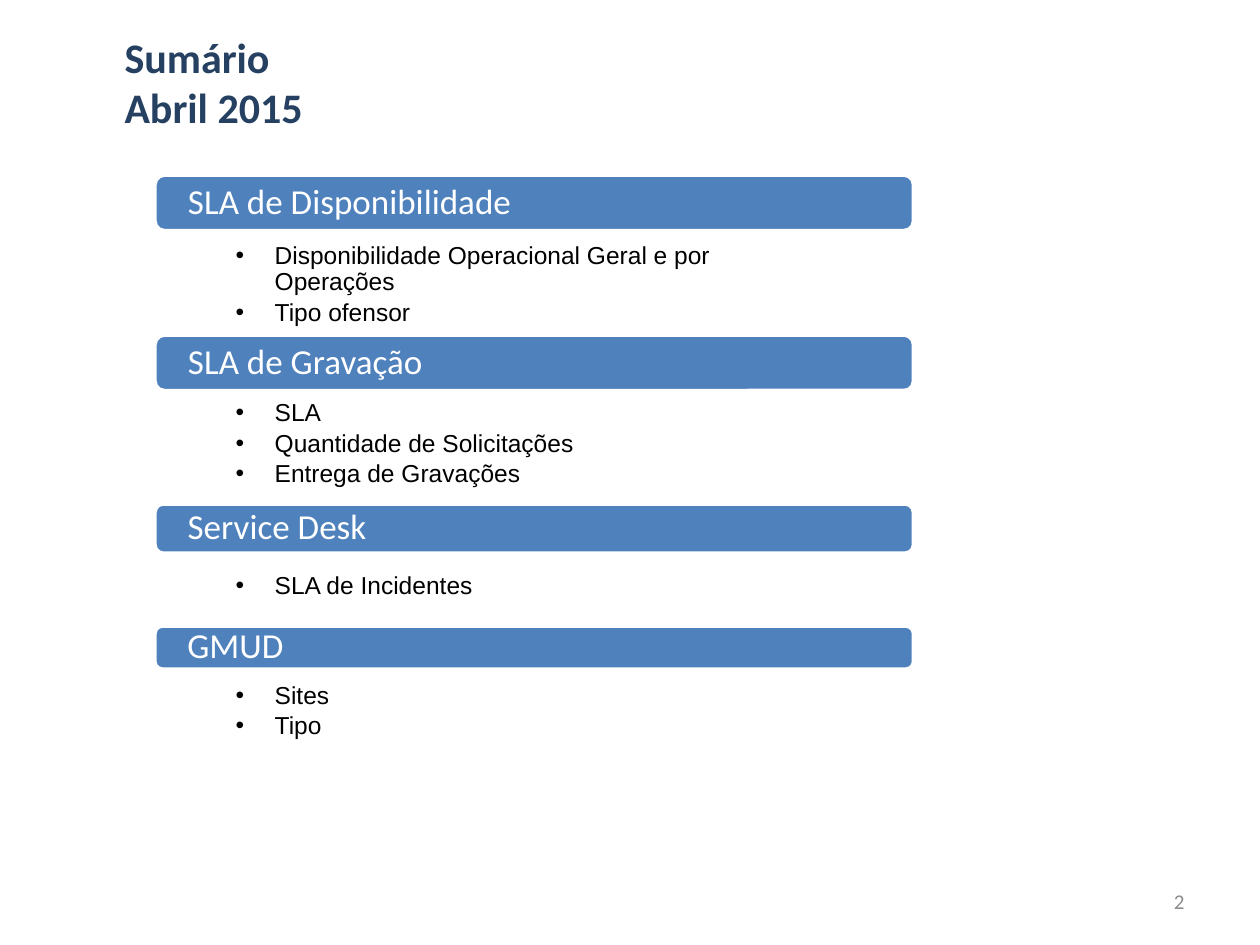
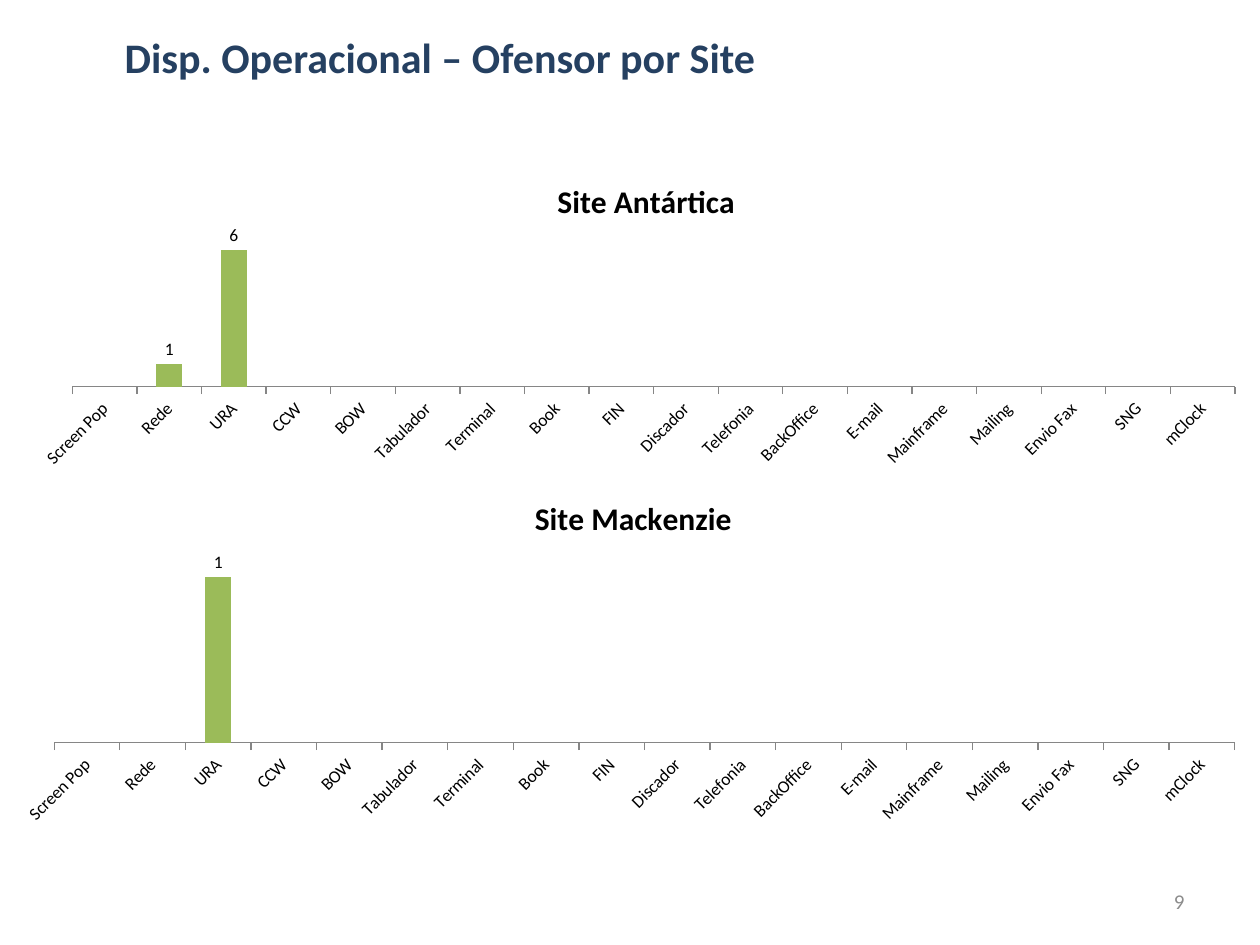
from lxml.etree import SubElement, Element
from pptx import Presentation
from pptx.chart.data import CategoryChartData
from pptx.dml.color import RGBColor
from pptx.enum.chart import XL_CHART_TYPE, XL_LABEL_POSITION, XL_TICK_LABEL_POSITION, XL_TICK_MARK
from pptx.enum.shapes import MSO_SHAPE
from pptx.enum.text import MSO_ANCHOR, PP_ALIGN
from pptx.oxml.ns import qn
from pptx.util import Inches, Pt

COLOURS = {"title": "254061", "banner": "4F81BD", "white": "FFFFFF", "text": "000000",
           "number": "8C8C8C", "column": "9BBB59", "axis": "868686"}
HEADING_FONT, BODY_FONT = "Calibri", "Arial"
GRID_COLUMNS, GRID_ROWS = 100, 75

SECTION_LEFT, SECTION_COLUMNS = 12.3, 60.2
BODY_OFFSET, BODY_ROWS = 6.6, 6.5
# top of the section, banner top and banner height in rows, heading, items
SECTIONS = [
    (12.7, 13.9, 4.4, "SLA de Disponibilidade",
     ["Disponibilidade Operacional Geral e por Operações", "Tipo ofensor"]),
    (25.2, 26.6, 4.4, "SLA de Gravação",
     ["SLA", "Quantidade de Solicitações", "Entrega de Gravações"]),
    (38.9, 40.0, 3.9, "Service Desk", ["SLA de Incidentes"]),
    (47.6, 49.7, 3.4, "GMUD", ["Sites", "Tipo"]),
]

SYSTEMS = ["Screen Pop", "Rede", "URA", "CCW", "BOW", "Tabulador", "Terminal", "Book", "FIN",
           "Discador", "Telefonia", "BackOffice", "E-mail", "Mainframe", "Mailing",
           "Envio Fax", "SNG", "mClock"]
# site, box on the grid, counts, axis maximum, title corner, plot area as shares of the chart
SITE_CHARTS = [
    ("Site Antártica", (1.4, 12, 98.6, 25.7), {"Rede": 1, "URA": 6}, 7,
     (0.43, 0.07), (0.044, 0.236, 0.936, 0.492)),
    ("Site Mackenzie", (0, 36.9, 100, 29.1), {"URA": 1}, 1.2,
     (0.42, 0.07), (0.043, 0.215, 0.937, 0.543)),
]


def colour(name):
    return RGBColor.from_string(COLOURS[name])


def place(deck, column, row, columns, rows):
    """Turn grid columns and rows into left, top, width and height."""
    across, down = deck.slide_width / GRID_COLUMNS, deck.slide_height / GRID_ROWS
    return int(column * across), int(row * down), int(columns * across), int(rows * down)


def style_font(font, size, colour_name, name=HEADING_FONT, bold=False):
    font.size, font.name, font.bold = Pt(size), name, bold
    font.color.rgb = colour(colour_name)


def set_insets(frame, left, top):
    frame.margin_left = frame.margin_right = Inches(left)
    frame.margin_top = frame.margin_bottom = Inches(top)


def add_bullet(para, indent):
    properties = para._p.get_or_add_pPr()
    properties.set("marL", str(Inches(indent)))
    properties.set("indent", str(-Inches(indent)))
    SubElement(properties, qn("a:buFont"), typeface=BODY_FONT)
    SubElement(properties, qn("a:buChar"), char="•")


def add_title(deck, page, lines):
    box = page.shapes.add_textbox(*place(deck, 8.9, 2, 62.8, 1 + 4 * len(lines)))
    frame = box.text_frame
    frame.word_wrap = True
    frame.text = "\n".join(lines)
    for para in frame.paragraphs:
        style_font(para.runs[0].font, 24, "title", bold=True)


def add_page_number(deck, page, number):
    box = page.shapes.add_textbox(*place(deck, 71.7, 69.5, 23.3, 4))
    frame = box.text_frame
    frame.word_wrap = True
    frame.vertical_anchor = MSO_ANCHOR.MIDDLE
    frame.text = str(number)
    para = frame.paragraphs[0]
    para.alignment = PP_ALIGN.RIGHT
    style_font(para.runs[0].font, 12, "number")


def add_page(deck, title_lines, number):
    page = deck.slides.add_slide(deck.slide_layouts[6])
    add_title(deck, page, title_lines)
    add_page_number(deck, page, number)
    return page


def add_items(page, box_place, items):
    box = page.shapes.add_textbox(*box_place)
    frame = box.text_frame
    frame.word_wrap = True
    set_insets(frame, 0.64, 0)
    frame.text = "\n".join(items)
    for para in frame.paragraphs:
        para.line_spacing, para.space_after = 0.9, Pt(2.1)
        add_bullet(para, 0.31)
        style_font(para.runs[0].font, 14, "text", BODY_FONT)


def add_banner(page, box_place, heading):
    banner = page.shapes.add_shape(MSO_SHAPE.ROUNDED_RECTANGLE, *box_place)
    banner.adjustments[0] = 0.17
    banner.shadow.inherit = False
    banner.fill.solid()
    banner.fill.fore_color.rgb = colour("banner")
    banner.line.color.rgb = colour("white")
    banner.line.width = Pt(2)
    frame = banner.text_frame
    frame.word_wrap = True
    frame.vertical_anchor = MSO_ANCHOR.MIDDLE
    set_insets(frame, 0.24, 0.02)
    frame.text = heading
    para = frame.paragraphs[0]
    para.alignment, para.line_spacing = PP_ALIGN.LEFT, 0.9
    style_font(para.runs[0].font, 20, "white")


def add_summary_page(deck):
    page = add_page(deck, ["Sumário", "Abril 2015"], 2)
    for top, banner_top, banner_rows, heading, items in SECTIONS:
        add_items(page, place(deck, SECTION_LEFT, top + BODY_OFFSET, SECTION_COLUMNS, BODY_ROWS),
                  items)
        add_banner(page, place(deck, SECTION_LEFT, banner_top, SECTION_COLUMNS, banner_rows),
                   heading)


def set_layout(parent, index, shares, inner=False):
    """Fix a chart part at shares (x, y and perhaps w, h) of the chart's size."""
    for previous in parent.findall(qn("c:layout")):
        parent.remove(previous)
    layout = Element(qn("c:layout"))
    manual = SubElement(layout, qn("c:manualLayout"))
    if inner:
        SubElement(manual, qn("c:layoutTarget"), val="inner")
    for side in "xy":
        SubElement(manual, qn(f"c:{side}Mode"), val="edge")
    for side, share in zip("xywh", shares):
        SubElement(manual, qn(f"c:{side}"), val=str(share))
    parent.insert(index, layout)


def style_axes(chart, maximum):
    value_axis = chart.value_axis
    value_axis.minimum_scale, value_axis.maximum_scale = 0, maximum
    value_axis.has_major_gridlines = False
    value_axis.visible = False
    category_axis = chart.category_axis
    category_axis.major_tick_mark = XL_TICK_MARK.OUTSIDE
    category_axis.tick_label_position = XL_TICK_LABEL_POSITION.NEXT_TO_AXIS
    category_axis.format.line.color.rgb = colour("axis")
    style_font(category_axis.tick_labels.font, 10, "text")
    text_body = category_axis._element.find(qn("c:txPr")).find(qn("a:bodyPr"))
    text_body.set("rot", str(-45 * 60000))
    text_body.set("vert", "horz")


def style_columns(plot):
    plot.gap_width = 150
    plot.vary_by_categories = False
    series = plot.series[0]
    series.invert_if_negative = False
    series.format.fill.solid()
    series.format.fill.fore_color.rgb = colour("column")
    labels = series.data_labels
    labels.show_value = True
    labels.position = XL_LABEL_POSITION.OUTSIDE_END
    style_font(labels.font, 10, "text")


def add_site_chart(page, box_place, site, counts, maximum, title_corner, plot_area):
    data = CategoryChartData()
    data.categories = SYSTEMS
    data.add_series("Series 1", [counts.get(system) for system in SYSTEMS])
    chart = page.shapes.add_chart(XL_CHART_TYPE.COLUMN_CLUSTERED, *box_place, data).chart
    style_font(chart.font, 10, "text")
    chart.has_legend = False
    chart.has_title = True
    title = chart.chart_title
    title.text_frame.text = site
    style_font(title.text_frame.paragraphs[0].runs[0].font, 18, "text", bold=True)
    title.include_in_layout = False
    set_layout(title._element, 1, title_corner)
    set_layout(chart._chartSpace.chart.plotArea, 0, plot_area, inner=True)
    style_axes(chart, maximum)
    style_columns(chart.plots[0])


def add_offenders_page(deck):
    page = add_page(deck, ["Disp. Operacional – Ofensor por Site"], 9)
    for site, grid_box, *settings in SITE_CHARTS:
        add_site_chart(page, place(deck, *grid_box), site, *settings)


def main():
    deck = Presentation()
    deck.slide_width, deck.slide_height = Inches(10), Inches(7.5)
    add_summary_page(deck)
    add_offenders_page(deck)
    deck.save("out.pptx")


if __name__ == "__main__":
    main()
